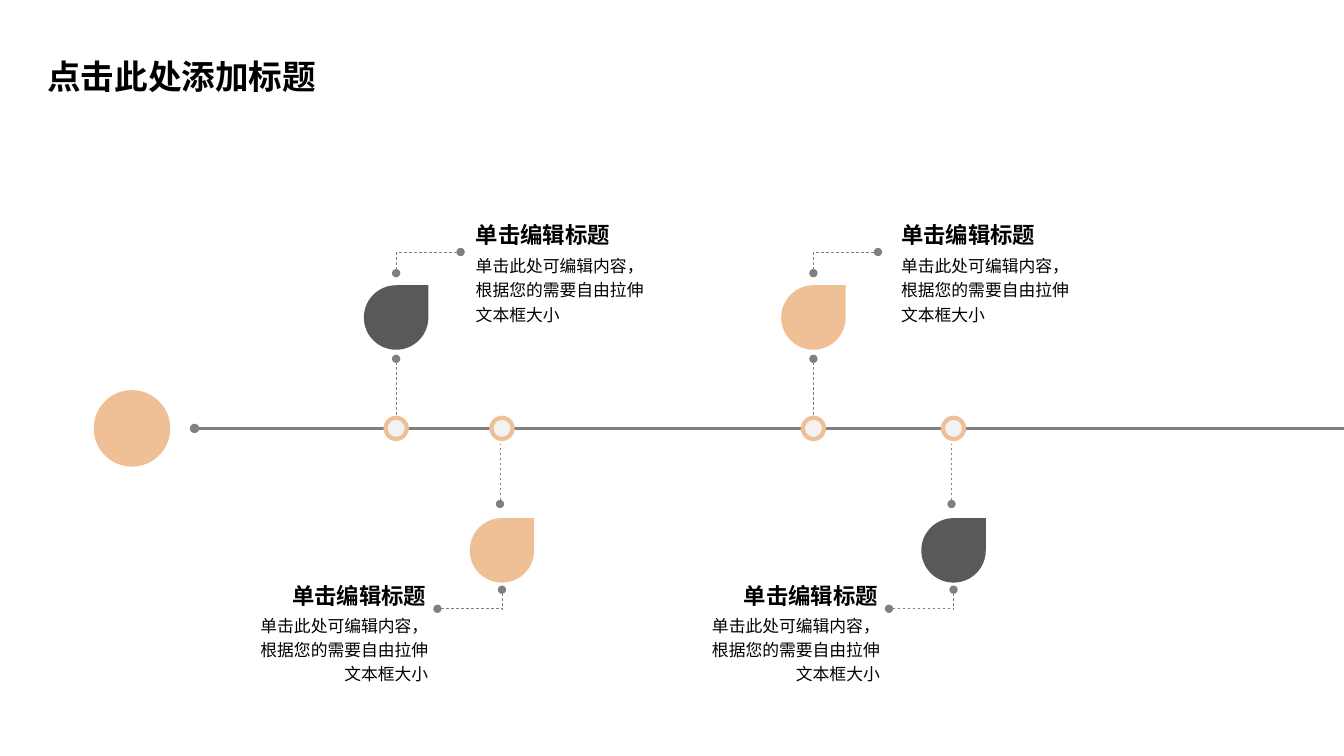
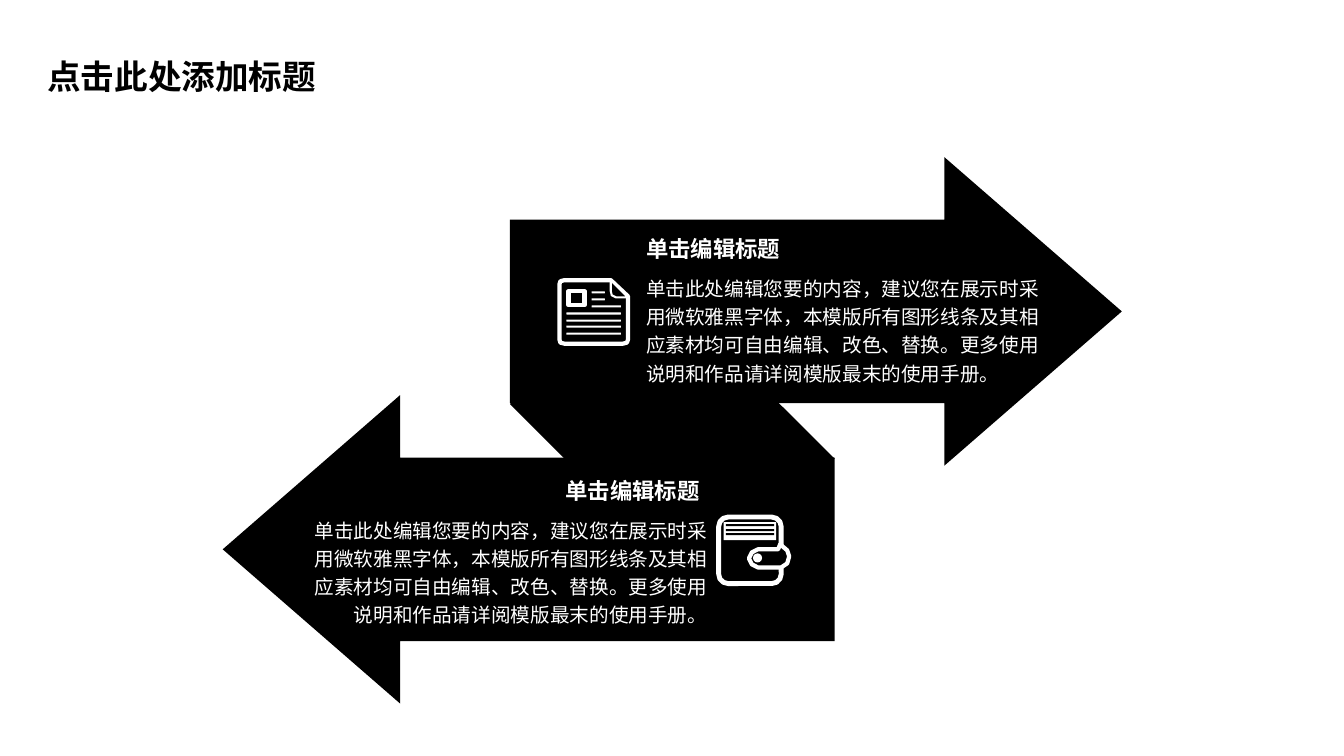
from dataclasses import dataclass

from pptx import Presentation
from pptx.dml.color import RGBColor
from pptx.enum.dml import MSO_LINE
from pptx.enum.shapes import MSO_CONNECTOR, MSO_SHAPE
from pptx.enum.text import MSO_ANCHOR, MSO_AUTO_SIZE, PP_ALIGN
from pptx.oxml.ns import qn
from pptx.util import Emu, Pt

PX = 9144
SLIDE_WIDTH, SLIDE_HEIGHT = Emu(12192000), Emu(6858000)
TITLE_ONLY_LAYOUT = 5
LEFT, RIGHT = PP_ALIGN.LEFT, PP_ALIGN.RIGHT
TOP = MSO_ANCHOR.TOP
NO_AUTOFIT = MSO_AUTO_SIZE.NONE
DASH = MSO_LINE.DASH
STRAIGHT = MSO_CONNECTOR.STRAIGHT
ELLIPSE, TEARDROP = MSO_SHAPE.OVAL, MSO_SHAPE.TEAR
RECTANGLE, ROUNDED = MSO_SHAPE.RECTANGLE, MSO_SHAPE.ROUNDED_RECTANGLE


@dataclass(frozen=True)
class Theme:
    """Colours, fonts and type sizes shared by the slides."""

    black: str = "000000"
    white: str = "FFFFFF"
    accent: str = "EFC096"
    dark: str = "595959"
    line: str = "808080"
    pale: str = "F2F2F2"
    latin_font: str = "Arial"
    chinese_font: str = "Noto Sans CJK SC"
    title_size: int = 24
    heading_size: int = 16
    body_size: int = 14
    small_size: int = 12
    line_spacing: float = 1.2


THEME = Theme()
SLIDE_TITLE = "点击此处添加标题"
HEADING = "单击编辑标题"
MILESTONE_TEXT = "单击此处可编辑内容，根据您的需要自由拉伸文本框大小"
ARROW_TEXT = (
    "单击此处编辑您要的内容，建议您在展示时采用微软雅黑字体，本模版所有图形线条及其"
    "相应素材均可自由编辑、改色、替换。更多使用说明和作品请详阅模版最末的使用手册。"
)
ARROW_OUTLINE = [(607, 153), (431, 0), (431, 62), (0, 62), (0, 244), (431, 244), (431, 306)]
ARROW_WIDTH = 607


def to_emu(*lengths):
    """Turn px lengths into EMU."""
    return [Emu(round(length * PX)) for length in lengths]


def add_run(paragraph, text, size, color, font, bold=False):
    """Add one formatted run."""
    run = paragraph.add_run()
    run.text = text
    run.font.name = font
    run.font.size = Pt(size)
    run.font.bold = bold
    run.font.color.rgb = RGBColor.from_string(color)


def paint(shape, fill, line=None, weight=0):
    """Set the fill and outline of a shape, without shadow."""
    shape.shadow.inherit = False
    if fill:
        shape.fill.solid()
        shape.fill.fore_color.rgb = RGBColor.from_string(fill)
    else:
        shape.fill.background()
    if line:
        shape.line.color.rgb = RGBColor.from_string(line)
        shape.line.width = Pt(weight)
    else:
        shape.line.fill.background()
    return shape


def add_preset(slide, preset, box, fill, line=None, weight=0):
    """Add a painted preset shape in a px box."""
    return paint(slide.shapes.add_shape(preset, *to_emu(*box)), fill, line, weight)


def add_outline(slide, origin, points, fill, line=None, weight=0):
    """Add a painted closed polygon, its points relative to the origin."""
    left, top = origin
    placed = [(left + x, top + y) for x, y in points]
    builder = slide.shapes.build_freeform(*placed[0], scale=PX)
    builder.add_line_segments(placed[1:], close=True)
    return paint(builder.convert_to_shape(), fill, line, weight)


def add_line(slide, start, end, color, weight, dashed=False, dot=False):
    """Add a straight line, with an optional dot at its start."""
    connector = slide.shapes.add_connector(STRAIGHT, *to_emu(*start, *end))
    connector.line.color.rgb = RGBColor.from_string(color)
    connector.line.width = Pt(weight)
    if dashed:
        connector.line.dash_style = DASH
    if dot:
        line_element = connector.line._get_or_add_ln()
        head = line_element.makeelement(qn("a:headEnd"), {"type": "oval"})
        line_element.append(head)
    properties = connector._element.spPr
    properties.append(properties.makeelement(qn("a:effectLst"), {}))


def add_text(slide, box, text, size, color, font, align=LEFT, bold=False):
    """Add a wrapped text box without insets."""
    frame = slide.shapes.add_textbox(*to_emu(*box)).text_frame
    frame.word_wrap = True
    frame.margin_left = frame.margin_top = frame.margin_right = frame.margin_bottom = 0
    paragraph = frame.paragraphs[0]
    paragraph.alignment = align
    paragraph.line_spacing = THEME.line_spacing
    add_run(paragraph, text, size, color, font, bold)


def add_heading(slide, box, color, align=LEFT):
    """Add a bold heading."""
    add_text(slide, box, HEADING, THEME.heading_size, color, THEME.latin_font, align, True)


def add_titled_slide(presentation):
    """Add a slide with the shared title."""
    slide = presentation.slides.add_slide(presentation.slide_layouts[TITLE_ONLY_LAYOUT])
    title = slide.shapes.title
    title.left, title.top, title.width, title.height = to_emu(37, 50, 301, 50)
    frame = title.text_frame
    frame.auto_size = NO_AUTOFIT
    frame.vertical_anchor = TOP
    paragraph = frame.paragraphs[0]
    paragraph.alignment = LEFT
    add_run(paragraph, SLIDE_TITLE, THEME.title_size, THEME.black, THEME.chinese_font, True)
    return slide


def add_node(slide, x, axis):
    """Add a ring centred on the time axis."""
    add_preset(slide, ELLIPSE, (x - 10.5, axis - 10.5, 21, 21), THEME.pale, THEME.accent, 3)


def add_leader(slide, start, end):
    """Add a thin dashed line with a dot at its start."""
    add_line(slide, start, end, THEME.line, 0.5, dashed=True, dot=True)


def add_upper_milestone(slide, x, axis, color, text_gap):
    """Add a milestone above the axis, its text to the right."""
    add_leader(slide, (x, axis - 69), (x, axis - 9))
    add_node(slide, x, axis)
    add_preset(slide, TEARDROP, (x - 32, axis - 142, 64, 64), color)
    add_leader(slide, (x, axis - 154), (x, axis - 174))
    add_leader(slide, (x + 64, axis - 175), (x, axis - 175))
    left = x + text_gap
    add_heading(slide, (left, axis - 211, 142, 32), THEME.black)
    add_text(slide, (left, axis - 175, 177, 73), MILESTONE_TEXT, THEME.small_size,
             THEME.black, THEME.latin_font)


def add_lower_milestone(slide, x, axis, color):
    """Add a milestone below the axis, its text to the left."""
    add_node(slide, x, axis)
    add_leader(slide, (x - 2, axis + 75), (x - 2, axis + 15))
    add_preset(slide, TEARDROP, (x - 32, axis + 89, 64, 64), color)
    add_leader(slide, (x, axis + 160), (x, axis + 180))
    add_leader(slide, (x - 64, axis + 179), (x, axis + 179))
    add_heading(slide, (x - 329, axis + 147, 254, 30), THEME.black, RIGHT)
    add_text(slide, (x - 250, axis + 182, 177, 73), MILESTONE_TEXT, THEME.small_size,
             THEME.black, THEME.latin_font, RIGHT)


def build_timeline_slide(presentation):
    """Build the timeline with four milestones."""
    slide = add_titled_slide(presentation)
    axis = 425
    add_preset(slide, ELLIPSE, (93, axis - 38, 76, 76), THEME.accent)
    add_line(slide, (193, axis), (1333, axis), THEME.line, 2.25, dot=True)
    add_upper_milestone(slide, 393, axis, THEME.dark, 79)
    add_lower_milestone(slide, 498, axis, THEME.accent)
    add_upper_milestone(slide, 807, axis, THEME.accent, 87)
    add_lower_milestone(slide, 946, axis, THEME.dark)


def add_document_icon(slide, left, top):
    """Draw a page with a folded corner."""
    page = [(7, 2), (53, 2), (70, 18), (70, 61), (69, 64), (65, 65),
            (7, 65), (3, 64), (2, 61), (2, 6), (3, 3)]
    add_outline(slide, (left, top), page, None, THEME.white, 3)
    fold = [(53, 2), (70, 19), (58, 19), (54, 17), (53, 13)]
    add_outline(slide, (left, top), fold, THEME.black, THEME.white, 1.5)
    add_preset(slide, RECTANGLE, (left + 11, top + 13, 16, 14), None, THEME.white, 3)
    text_lines = [(34, 13, 13), (34, 20, 13), (34, 27, 29)]
    text_lines += [(9, y, 54) for y in (34, 41, 47, 54)]
    for x, y, width in text_lines:
        add_preset(slide, ROUNDED, (left + x, top + y, width, 2), THEME.white)


def add_wallet_icon(slide, left, top):
    """Draw a wallet with notes and a clasp."""
    body = add_preset(slide, ROUNDED, (left + 2, top + 2, 62, 66), None, THEME.white, 3.5)
    body.adjustments[0] = 0.15
    add_preset(slide, RECTANGLE, (left + 7, top + 7, 52, 18), THEME.white)
    for y in (9, 14, 18):
        add_preset(slide, RECTANGLE, (left + 9, top + y, 48, 2), THEME.black)
    clasp = [(63, 29), (70, 35), (72, 41), (70, 48), (64, 52), (41, 52),
             (35, 49), (32, 43), (35, 37), (41, 34), (61, 34)]
    add_outline(slide, (left, top), clasp, THEME.black, THEME.white, 3)
    add_preset(slide, ELLIPSE, (left + 36, top + 38, 9, 9), THEME.white)


def add_arrow_text(slide, heading_left, body_left, top, align):
    """Add the heading and paragraph inside an arrow."""
    add_text(slide, (body_left, top + 42, 394, 113), ARROW_TEXT, THEME.body_size,
             THEME.white, THEME.chinese_font, align)
    add_heading(slide, (heading_left, top, 142, 30), THEME.white)


def build_arrows_slide(presentation):
    """Build the two opposed arrows joined by a ribbon."""
    slide = add_titled_slide(presentation)
    ribbon = [(322, 214), (188, 348), (0, 160), (107, 0)]
    mirrored = [(ARROW_WIDTH - x, y) for x, y in ARROW_OUTLINE]
    add_outline(slide, (506, 241), ribbon, THEME.black)
    add_outline(slide, (506, 156), ARROW_OUTLINE, THEME.black)
    add_outline(slide, (221, 392), mirrored, THEME.black)
    add_wallet_icon(slide, 711, 511)
    add_document_icon(slide, 553, 276)
    add_arrow_text(slide, 641, 641, 228, LEFT)
    add_arrow_text(slide, 561, 308, 468, RIGHT)


def main():
    """Build and save the presentation."""
    presentation = Presentation()
    presentation.slide_width, presentation.slide_height = SLIDE_WIDTH, SLIDE_HEIGHT
    build_timeline_slide(presentation)
    build_arrows_slide(presentation)
    presentation.save("out.pptx")


if __name__ == "__main__":
    main()
